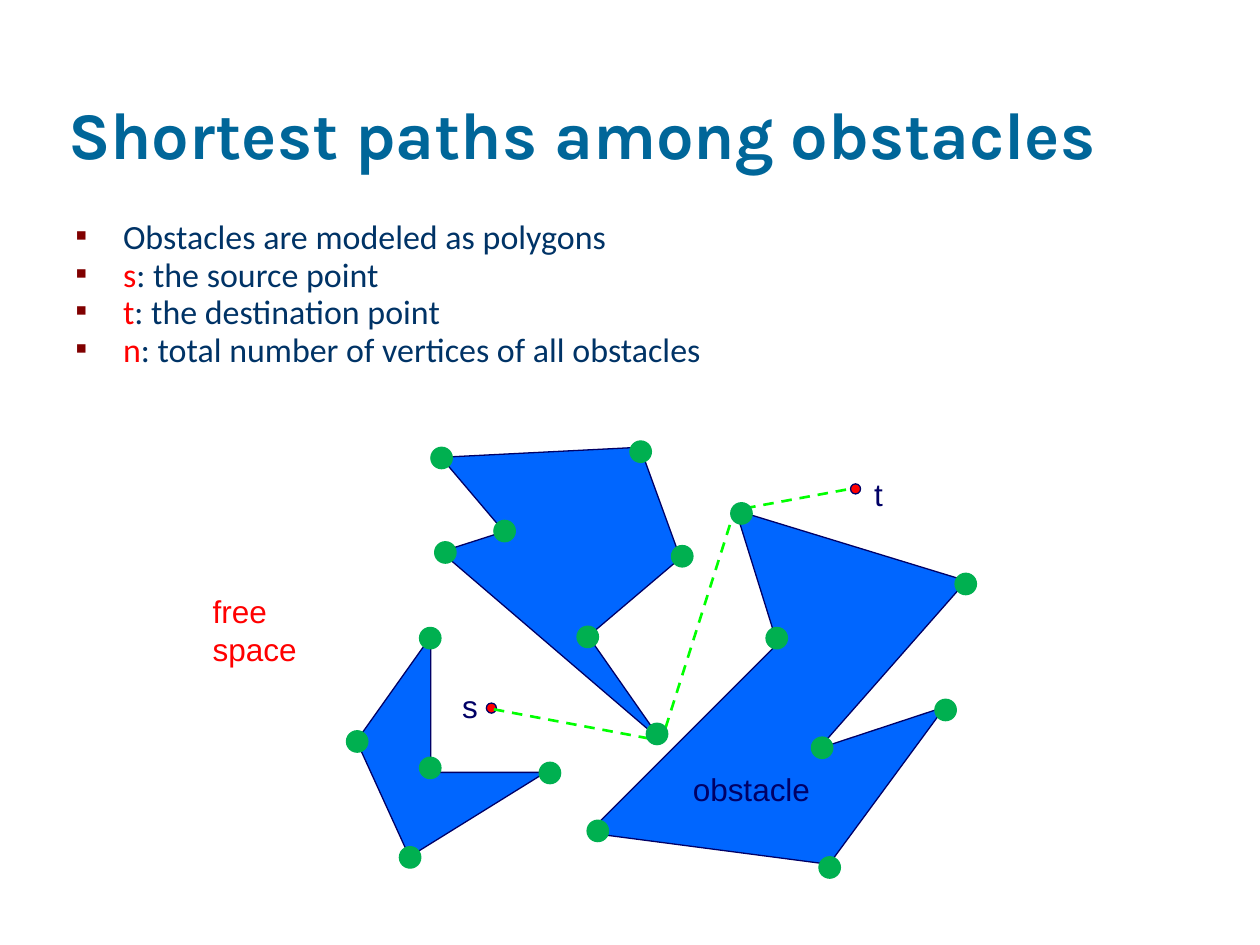
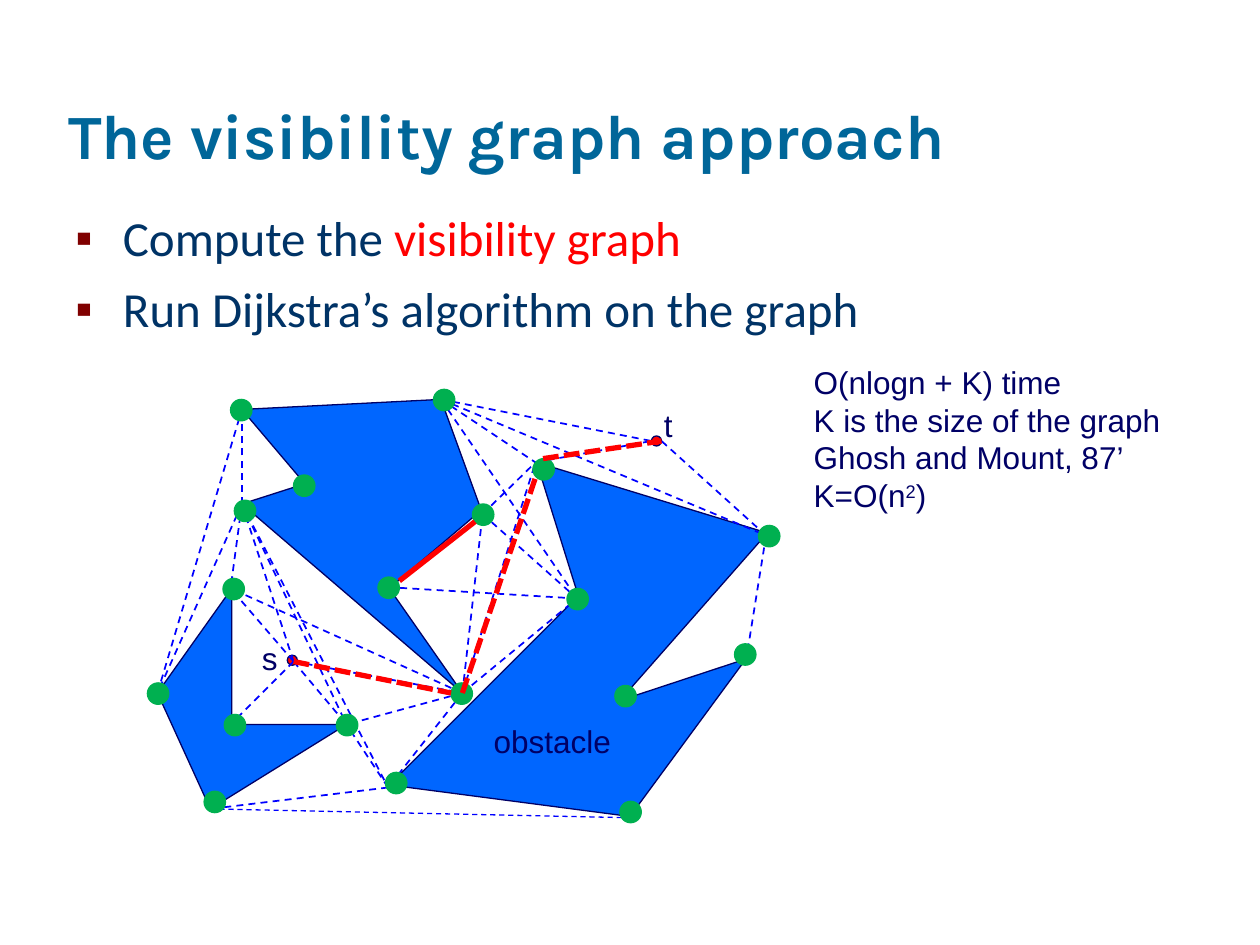
from pptx import Presentation
from pptx import util as u
from pptx.dml.color import RGBColor
from pptx.enum import dml, shapes, text
from pptx.oxml import parse_xml
from pptx.oxml.ns import nsdecls

TEAL = RGBColor(0x00, 0x66, 0x99)
SLATE = RGBColor(0x00, 0x33, 0x66)
RED = RGBColor(0xFF, 0x00, 0x00)
NAVY = RGBColor(0x00, 0x00, 0x66)
BLUE = RGBColor(0x00, 0x66, 0xFF)
EDGE_BLUE = RGBColor(0x00, 0x00, 0xFF)
LIME = RGBColor(0x00, 0xFF, 0x00)
GREEN = RGBColor(0x00, 0xB0, 0x50)
DASH = dml.MSO_LINE.DASH
SHORT_DASH = dml.MSO_LINE.SQUARE_DOT

TITLE_BOX = (0.44, 0.17, 8.5, 1.25)
LABEL_FONT = {"name": "Arial", "size": u.Pt(18)}
TITLE_FRAME = {"word_wrap": True, "vertical_anchor": text.MSO_ANCHOR.BOTTOM, "auto_size": text.MSO_AUTO_SIZE.NONE}
BODY_FRAME = {"word_wrap": True, "vertical_anchor": text.MSO_ANCHOR.TOP}
LABEL_FRAME = {"word_wrap": False, "auto_size": text.MSO_AUTO_SIZE.SHAPE_TO_FIT_TEXT}
BULLETS = [
    f'<a:buClr {nsdecls("a")}><a:srgbClr val="800000"/></a:buClr>',
    f'<a:buFont {nsdecls("a")} typeface="Arial"/>',
    f'<a:buChar {nsdecls("a")} char="▪"/>',
]

OBSTACLES = [
    [(3.42, 5.05), (2.83, 5.88), (3.25, 6.8), (4.33, 6.13), (3.42, 6.13)],
    [(5.08, 3.55), (3.5, 3.63), (4, 4.22), (3.5, 4.38), (5.25, 5.88), (4.67, 5.05), (5.4, 4.43)],
    [(5.84, 4.05), (6.17, 5.11), (4.67, 6.61), (6.58, 6.86), (7.5, 5.61), (6.5, 5.94), (7.67, 4.61)],
]
ENDPOINTS = [(3.86, 5.58), (6.75, 3.84)]
ENDPOINT_SIZE = 0.08
VERTEX_SIZE = 0.17

NODES = {
    "s": (2.33, 5.25), "t": (5.17, 3.5), "t right": (5.25, 3.5),
    "hook top": (1.83, 4.67), "hook left": (1.25, 5.5), "hook foot": (1.67, 6.42),
    "hook right": (2.75, 5.75), "hook notch": (1.83, 5.75),
    "arrow apex": (3.5, 3.17), "arrow corner": (1.92, 3.25), "arrow elbow": (1.92, 4),
    "arrow tip": (3.67, 5.5), "arrow bay": (3.08, 4.66), "arrow east": (3.83, 4.08),
    "bolt peak": (4.25, 3.67), "bolt dent": (4.58, 4.75), "bolt west": (3.08, 6.25),
    "bolt base": (4.99, 6.49), "bolt tail": (5.92, 5.25), "bolt east": (6.08, 4.25),
}
VISIBLE = {
    "s": ["arrow tip", "hook right", "hook notch", "hook top", "arrow elbow"],
    "arrow tip": ["bolt west", "bolt peak", "arrow east", "bolt dent", "hook top", "hook right"],
    "arrow east": ["bolt peak", "bolt dent"],
    "arrow elbow": ["hook top", "hook left", "arrow corner", "bolt west", "hook right"],
    "arrow apex": ["bolt dent", "bolt peak", "bolt east", "t"],
    "bolt east": ["bolt tail", "t right"],
    "bolt west": ["hook foot", "hook right"],
    "arrow bay": ["bolt dent"],
    "hook left": ["arrow corner"],
    "bolt peak": ["t"],
    "hook foot": ["bolt base"],
}

SLIDES = [
    {
        "title": "Shortest paths among obstacles",
        "title size": 38,
        "body box": (0.5, 1.75, 8.92, 1.25),
        "body size": 19.4,
        "body spacing": {"line_spacing": 0.7, "space_before": u.Pt(5.2)},
        "body": [
            [("Obstacles are modeled as polygons", SLATE)],
            [("s", RED), (": the source point", SLATE)],
            [("t", RED), (": the destination point", SLATE)],
            [("n", RED), (": total number of vertices of all obstacles", SLATE)],
        ],
        "shift": (0, 0),
        "labels": [
            ((3.57, 5.4, 0.32, 0.4), [[("s", NAVY)]]),
            ((6.84, 3.72, 0.27, 0.4), [[("t", NAVY)]]),
            ((1.59, 4.65, 1.36, 0.4), [[("free space", RED)]]),
            ((5.4, 6.06, 1.13, 0.4), [[("obstacle", NAVY)]]),
        ],
        "route": [(3.92, 5.63), (5.25, 5.88), (5.83, 4.05), (6.75, 3.88)],
        "edges": {},
        "vertices": [
            (3.17, 6.72), (4.66, 6.51), (6.5, 6.8), (6.44, 5.85), (7.42, 5.55), (7.58, 4.55), (5.8, 3.99),
            (6.08, 4.98), (5.13, 5.74), (4.58, 4.97), (5.33, 4.33), (5, 3.5), (3.42, 3.55), (3.92, 4.13),
            (3.45, 4.3), (3.33, 4.98), (3.33, 6.01), (4.28, 6.05), (2.75, 5.8),
        ],
        "red lines": [],
    },
    {
        "title": "The visibility graph approach",
        "title size": 36,
        "body box": (0.5, 1.6, 8.94, 5.02),
        "body size": 28,
        "body spacing": {"space_before": u.Pt(7)},
        "body": [
            [("Compute the ", SLATE), ("visibility graph", RED)],
            [("Run Dijkstra’s algorithm on the graph", SLATE)],
        ],
        "shift": (-1.58, -0.38),
        "labels": [
            ((1.98, 5.02, 0.32, 0.4), [[("s", NAVY)]]),
            ((5.17, 3.17, 0.27, 0.4), [[("t", NAVY)]]),
            ((3.82, 5.68, 1.13, 0.4), [[("obstacle", NAVY)]]),
            ((6.36, 2.83, 2.95, 1.3), [
                [("O(nlogn + K) time", NAVY)],
                [("K is the size of the graph", NAVY)],
                [("Ghosh and Mount, 87’", NAVY)],
                [("K=O(n", NAVY), ("2", NAVY, "30000"), (")", NAVY)],
            ]),
        ],
        "route": [],
        "edges": VISIBLE,
        "vertices": [
            (3, 4.58), (4.5, 4.67), (3.58, 5.42), (2.67, 5.67), (3.06, 6.13), (4.88, 5.44), (6.02, 4.17),
            (5.83, 5.11), (4.92, 6.36), (1.77, 4.59), (3.75, 4), (3.44, 3.09), (1.17, 5.42), (1.62, 6.28),
            (1.83, 3.17), (1.86, 3.97), (2.33, 3.77), (4.23, 3.64), (1.78, 5.67),
        ],
        "red lines": [
            ((2.33, 5.25), (3.58, 5.5), SHORT_DASH),
            ((3.67, 5.5), (4.25, 3.79), SHORT_DASH),
            ((4.31, 3.64), (5.25, 3.5), SHORT_DASH),
            ((3.17, 4.61), (3.77, 4.14), None),
        ],
    },
]


def lengths(inches):
    return [u.Cm(2.54 * value) for value in inches]


def paint(shape, line_color, width, fill_color=None, dash=None):
    shape.line.color.rgb = line_color
    shape.line.width = u.Pt(width)
    if dash:
        shape.line.dash_style = dash
    if shape.shape_type == shapes.MSO_SHAPE_TYPE.LINE:
        shape._element.spPr.append(parse_xml(f'<a:effectLst {nsdecls("a")}/>'))
        return
    shape.shadow.inherit = False
    if fill_color:
        shape.fill.solid()
        shape.fill.fore_color.rgb = fill_color
    else:
        shape.fill.background()


presentation = Presentation()
presentation.slide_width, presentation.slide_height = lengths((10, 7.5))

for content in SLIDES:
    slide = presentation.slides.add_slide(presentation.slide_layouts[5])
    shift_x, shift_y = content["shift"]

    outlines = [
        ([(x + shift_x, y + shift_y) for x, y in obstacle], True, (NAVY, 0.75, BLUE))
        for obstacle in OBSTACLES
    ]
    if content["route"]:
        outlines.append((content["route"], False, (LIME, 1.5, None, DASH)))
    endpoints = [(x + shift_x, y + shift_y, ENDPOINT_SIZE, ENDPOINT_SIZE) for x, y in ENDPOINTS]
    vertices = [(x, y, VERTEX_SIZE, VERTEX_SIZE) for x, y in content["vertices"]]
    circles = [(box, NAVY, RED) for box in endpoints] + [(box, GREEN, GREEN) for box in vertices]
    edges = [
        (NODES[start], NODES[end], EDGE_BLUE, 0.75 if end == "bolt base" else 1, DASH)
        for start, ends in content["edges"].items() for end in ends
    ]
    red_lines = [(start, end, RED, 3, dash) for start, end, dash in content["red lines"]]

    layers = [("outline", item) for item in outlines[:3]]
    layers += [("circle", item) for item in circles[:2]]
    layers += [("outline", item) for item in outlines[3:]]
    layers += [("line", item) for item in edges]
    layers += [("circle", item) for item in circles[2:]]
    layers += [("line", item) for item in red_lines]

    for kind, item in layers:
        if kind == "outline":
            points, closed, style = item
            corners = [lengths(point) for point in points]
            builder = slide.shapes.build_freeform(*corners[0])
            builder.add_line_segments(corners[1:], close=closed)
            paint(builder.convert_to_shape(), *style)
        elif kind == "circle":
            box, line_color, fill_color = item
            circle = slide.shapes.add_shape(shapes.MSO_SHAPE.OVAL, *lengths(box))
            paint(circle, line_color, 0.75, fill_color)
        else:
            start, end, color, width, dash = item
            connector = slide.shapes.add_connector(shapes.MSO_CONNECTOR.STRAIGHT, *lengths(start + end))
            paint(connector, color, width, dash=dash)

    title_font = {"name": "Karla", "size": u.Pt(content["title size"]), "bold": True}
    body_font = {"name": "Calibri", "size": u.Pt(content["body size"])}
    texts = [
        (TITLE_BOX, [[(content["title"], TEAL)]], title_font, TITLE_FRAME),
        (content["body box"], content["body"], body_font, BODY_FRAME),
    ]
    texts += [(box, paragraphs, LABEL_FONT, LABEL_FRAME) for box, paragraphs in content["labels"]]
    for box, paragraphs, font_format, frame_format in texts:
        if box == TITLE_BOX:
            shape = slide.shapes.title
            shape.left, shape.top, shape.width, shape.height = lengths(box)
        else:
            shape = slide.shapes.add_textbox(*lengths(box))
        frame = shape.text_frame
        for name, value in frame_format.items():
            setattr(frame, name, value)
        for index, runs in enumerate(paragraphs):
            paragraph = frame.add_paragraph() if index else frame.paragraphs[0]
            paragraph.alignment = text.PP_ALIGN.LEFT
            if frame_format is BODY_FRAME:
                properties = paragraph._p.get_or_add_pPr()
                properties.set("marL", str(u.Cm(0.96)))
                properties.set("indent", str(u.Cm(-0.96)))
                for bullet in BULLETS:
                    properties.append(parse_xml(bullet))
                for name, value in content["body spacing"].items():
                    if index or name != "space_before":
                        setattr(paragraph, name, value)
            for wording, color, *baseline in runs:
                run = paragraph.add_run()
                run.text = wording
                for name, value in font_format.items():
                    setattr(run.font, name, value)
                run.font.color.rgb = color
                if baseline:
                    run._r.get_or_add_rPr().set("baseline", baseline[0])

presentation.save("out.pptx")
